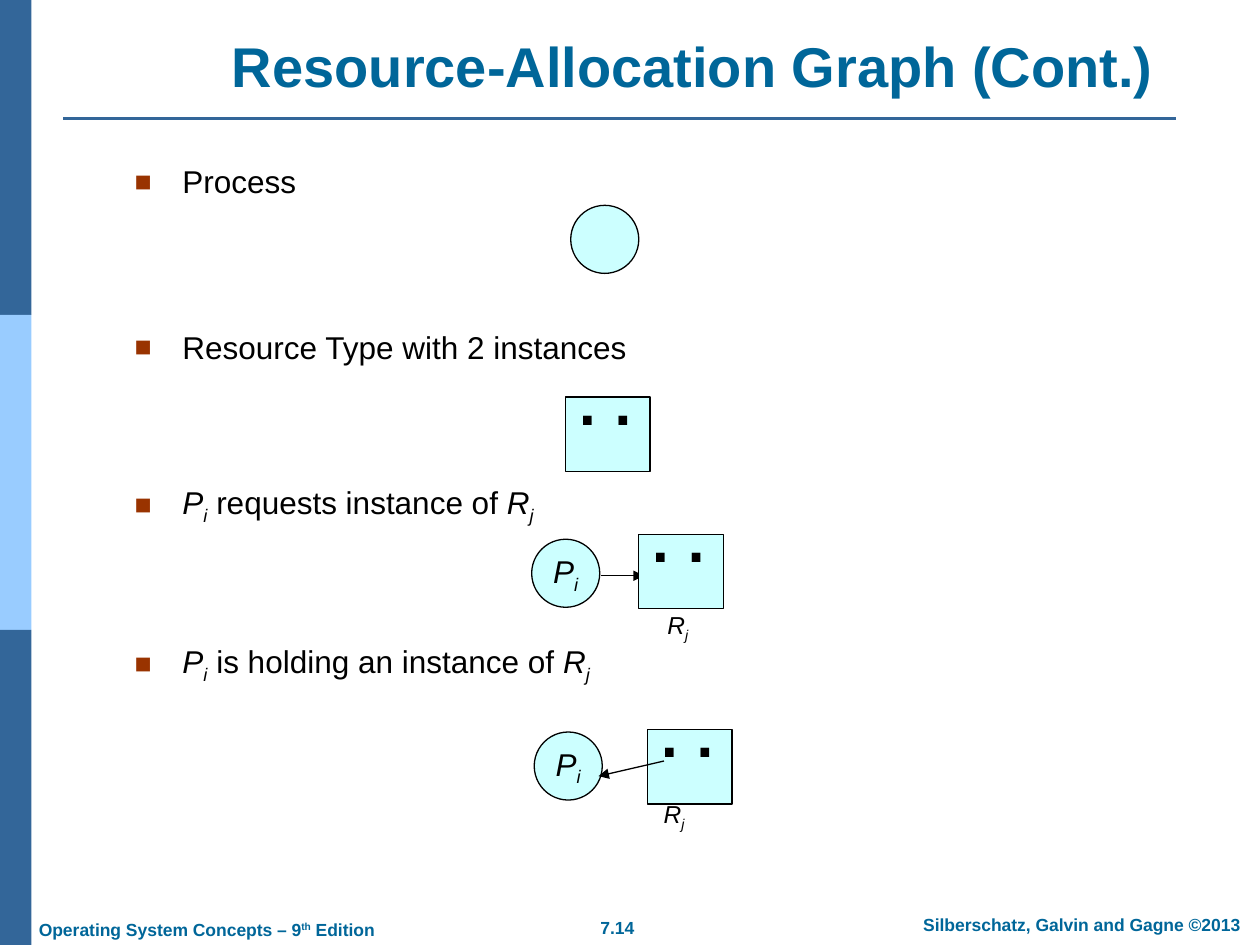
import pptx
import pptx.dml.color
import pptx.enum.shapes
import pptx.enum.text
import pptx.oxml
import pptx.oxml.ns
import pptx.util
from pptx.util import Inches

NAVY = pptx.dml.color.RGBColor(0x33, 0x66, 0x99)
SKY = pptx.dml.color.RGBColor(0x99, 0xCC, 0xFF)
TEAL = pptx.dml.color.RGBColor(0x00, 0x66, 0x99)
CYAN = pptx.dml.color.RGBColor(0xCC, 0xFF, 0xFF)
BLACK = pptx.dml.color.RGBColor(0, 0, 0)
SHAPES = pptx.enum.shapes.MSO_SHAPE
ALIGN = pptx.enum.text.PP_ALIGN
ANCHOR = pptx.enum.text.MSO_ANCHOR
AUTO_SIZE = pptx.enum.text.MSO_AUTO_SIZE

PROCESS = [("P", True, 0), ("i", True, -25)]
RESOURCE = [("R", True, 0), ("j", True, -25)]
DOTS = [(". .", False, 0)]


def write(paragraph, parts, color=BLACK, **formats):
    for text, italic, baseline in parts:
        run = paragraph.add_run()
        run.text = text
        values = {"name": "Arial", "size": pptx.util.Pt(18), "italic": italic, **formats}
        for name, value in values.items():
            setattr(run.font, name, value)
        run.font.color.rgb = color
        if baseline:
            run._r.get_or_add_rPr().set("baseline", str(baseline * 1000))


def add_line(start, end, color, width, arrow=False):
    points = [Inches(value) for value in start + end]
    line = slide.shapes.add_connector(pptx.enum.shapes.MSO_CONNECTOR.STRAIGHT, *points)
    line.line.color.rgb = color
    line.line.width = pptx.util.Pt(width)
    if arrow:
        tail = pptx.oxml.parse_xml(f'<a:tailEnd {pptx.oxml.ns.nsdecls("a")} type="triangle"/>')
        line.line._get_or_add_ln().append(tail)
    effects = pptx.oxml.parse_xml(f'<a:effectLst {pptx.oxml.ns.nsdecls("a")}/>')
    line._element.spPr.append(effects)


presentation = pptx.Presentation()
presentation.slide_width = Inches(10)
presentation.slide_height = Inches(7.5)
slide = presentation.slides.add_slide(presentation.slide_layouts[5])

for index, color in enumerate([NAVY, SKY, NAVY]):
    band = slide.shapes.add_shape(
        SHAPES.RECTANGLE, Inches(0), Inches(2.5 * index), Inches(0.25), Inches(2.5)
    )
    band.shadow.inherit = False
    band.fill.solid()
    band.fill.fore_color.rgb = color
    band.line.fill.background()
add_line((0.5, 0.94), (9.33, 0.94), NAVY, 1.5)

title = slide.shapes.title
title.left, title.top, title.width, title.height = [Inches(v) for v in (1.23, 0.2, 8.54, 0.63)]
title.text_frame.vertical_anchor = ANCHOR.BOTTOM
title.text_frame.auto_size = AUTO_SIZE.NONE
title_paragraph = title.text_frame.paragraphs[0]
title_paragraph.alignment = ALIGN.CENTER
write(title_paragraph, [("Resource-Allocation Graph (Cont.)", False, 0)], TEAL,
      size=pptx.util.Pt(32), bold=True)

edition = [("Operating System Concepts – 9", False, 0), ("th", False, 30), (" Edition", False, 0)]
footer_format = {"color": TEAL, "size": pptx.util.Pt(10), "bold": True}
label_format = {"size": pptx.util.Pt(14)}
labels = [
    ((4.41, 7.23, 0.98, 0.27), [("7.14", False, 0)], ALIGN.CENTER, footer_format),
    ((7.0, 7.2, 3.17, 0.27), [("Silberschatz, Galvin and Gagne ©2013", False, 0)],
     ALIGN.CENTER, footer_format),
    ((0.21, 7.24, 3.2, 0.27), edition, ALIGN.LEFT, footer_format),
    ((5.08, 4.79, 0.6, 0.37), RESOURCE, ALIGN.CENTER, label_format),
    ((5.05, 6.29, 0.6, 0.37), RESOURCE, ALIGN.CENTER, label_format),
]

bullets = [
    ([("Process", False, 0)], 0),
    ([("Resource Type with 2 instances", False, 0)], 73),
    (PROCESS + [(" requests instance of ", False, 0)] + RESOURCE, 67),
    (PROCESS + [(" is holding an instance of ", False, 0)] + RESOURCE, 66.5),
]
body = slide.shapes.add_textbox(Inches(0.97), Inches(1.24), Inches(8.03), Inches(4.95))
body.text_frame.word_wrap = True
for index, (parts, space_before) in enumerate(bullets):
    paragraph = body.text_frame.paragraphs[0] if index == 0 else body.text_frame.add_paragraph()
    paragraph.space_before = pptx.util.Pt(space_before)
    properties = paragraph._p.get_or_add_pPr()
    properties.set("marL", str(Inches(0.38)))
    properties.set("indent", str(Inches(-0.38)))
    for markup in (
        '<a:buClr {}><a:srgbClr val="993300"/></a:buClr>',
        '<a:buSzPct {} val="90000"/>',
        '<a:buFont {} typeface="Arial"/>',
        '<a:buChar {} char="■"/>',
    ):
        properties.append(pptx.oxml.parse_xml(markup.format(pptx.oxml.ns.nsdecls("a"))))
    write(paragraph, parts)

add_line((4.77, 4.57), (5.11, 4.57), BLACK, 0.75, arrow=True)

circle = (SHAPES.OVAL, 0.54, 0.54)
square = (SHAPES.RECTANGLE, 0.67, 0.59)
nodes = [
    (circle, 4.53, 1.63, []),
    (square, 4.49, 3.15, DOTS),
    (circle, 4.22, 4.28, PROCESS),
    (square, 5.07, 4.24, DOTS),
    (circle, 4.24, 5.81, PROCESS),
    (square, 5.14, 5.79, DOTS),
]
for (kind, width, height), left, top, parts in nodes:
    node = slide.shapes.add_shape(kind, Inches(left), Inches(top), Inches(width), Inches(height))
    node.shadow.inherit = False
    node.fill.solid()
    node.fill.fore_color.rgb = CYAN
    node.line.color.rgb = BLACK
    node.line.width = pptx.util.Pt(0.75)
    frame = node.text_frame
    frame.word_wrap = False
    frame.vertical_anchor = ANCHOR.MIDDLE
    paragraph = frame.paragraphs[0]
    if parts is DOTS:
        frame.margin_bottom = Inches(0.5)
        paragraph.alignment = ALIGN.LEFT
        write(paragraph, parts, name="DejaVu Sans", size=pptx.util.Pt(28), bold=True)
    else:
        paragraph.alignment = ALIGN.CENTER
        write(paragraph, parts)

for box, parts, alignment, formats in labels:
    label = slide.shapes.add_textbox(*[Inches(value) for value in box])
    label.text_frame.word_wrap = True
    label.text_frame.auto_size = AUTO_SIZE.NONE
    label.text_frame.vertical_anchor = ANCHOR.MIDDLE
    label.text_frame.paragraphs[0].alignment = alignment
    write(label.text_frame.paragraphs[0], parts, **formats)

add_line((5.27, 6.04), (4.75, 6.16), BLACK, 0.75, arrow=True)

presentation.save("out.pptx")
